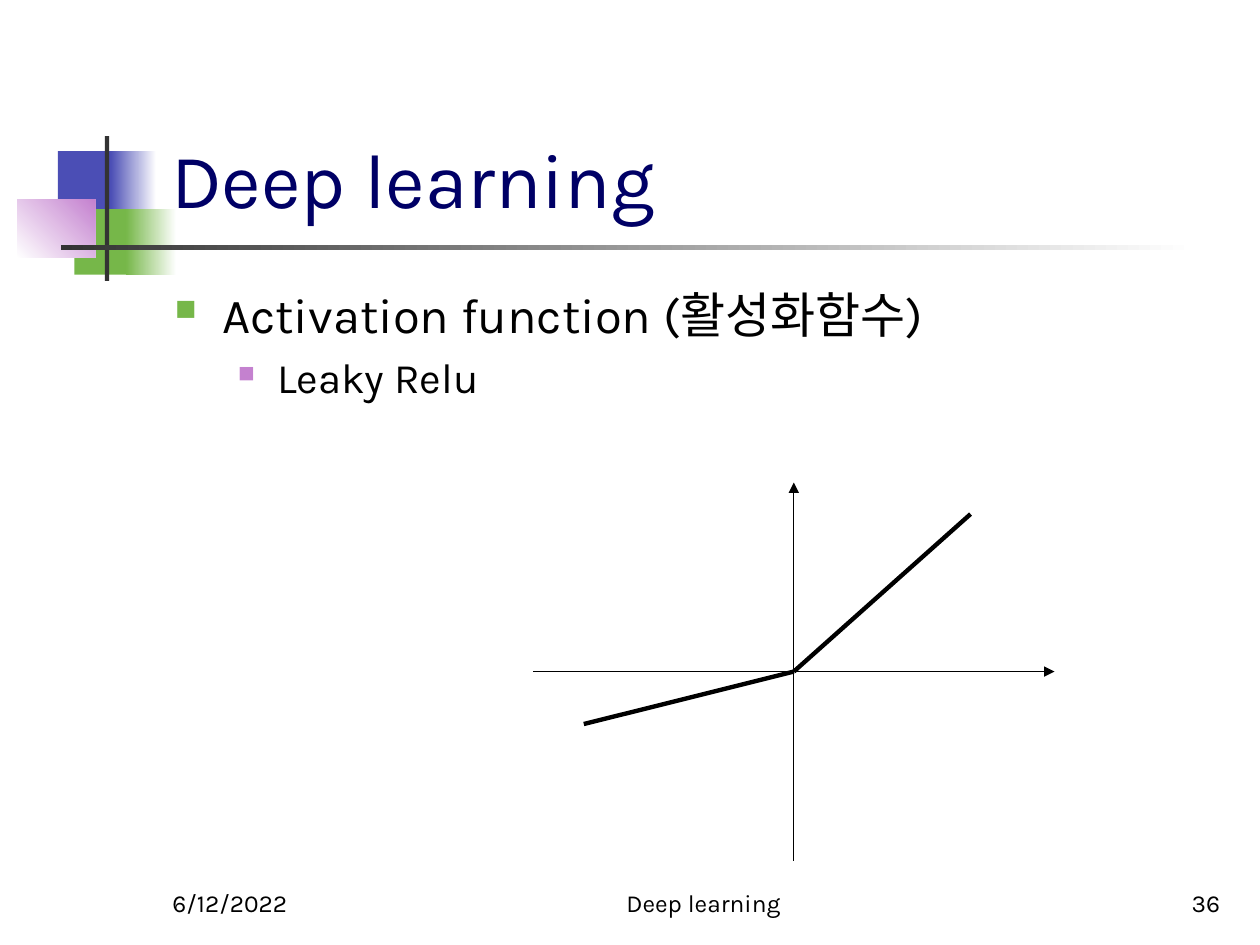
from lxml.etree import SubElement
from pptx import Presentation
from pptx.dml.color import RGBColor
from pptx.enum.shapes import MSO_CONNECTOR as Connector, MSO_SHAPE as Shape
from pptx.enum.text import MSO_ANCHOR as Anchor, PP_ALIGN as Align
from pptx.oxml.ns import qn
from pptx.util import Pt

FONT = "Karla"
BLACK = RGBColor(0x00, 0x00, 0x00)
WHITE = RGBColor(0xFF, 0xFF, 0xFF)
NAVY = RGBColor(0x00, 0x00, 0x66)
BLUE = RGBColor(0x4B, 0x4E, 0xB5)
GREEN = RGBColor(0x76, 0xB7, 0x49)
PINK = RGBColor(0xC4, 0x81, 0xCF)
CHARCOAL = RGBColor(0x33, 0x33, 0x33)

ORIGIN = (453.6, 383.76)
AXIS_REACH = (149, 108)
FOOTER_TOP, FOOTER_HEIGHT = 491.76, 36


def add_block(slide, box, start, end=None, angle=0):
    block = slide.shapes.add_shape(Shape.RECTANGLE, *map(Pt, box))
    block.shadow.inherit = False
    block.line.fill.background()
    if end is None:
        block.fill.solid()
        block.fill.fore_color.rgb = start
        return
    block.fill.gradient()
    block.fill.gradient_angle = angle
    for stop, color, position in zip(block.fill.gradient_stops, (start, end), (0, 1)):
        stop.color.rgb = color
        stop.position = position


def add_frame(slide, box, anchor=Anchor.BOTTOM):
    frame = slide.shapes.add_textbox(*map(Pt, box)).text_frame
    frame.word_wrap = True
    frame.vertical_anchor = anchor
    return frame


def style_text(paragraph, text, size, color=BLACK, align=Align.LEFT):
    paragraph.text = text
    paragraph.alignment = align
    font = paragraph.font
    font.name, font.size = FONT, Pt(size)
    font.color.rgb = color


def add_bullet(paragraph, color, percent, margin, hanging):
    properties = paragraph._p.get_or_add_pPr()
    properties.set("marL", str(Pt(margin)))
    properties.set("indent", str(-Pt(hanging)))
    bullet_color = SubElement(properties, qn("a:buClr"))
    SubElement(bullet_color, qn("a:srgbClr"), val=str(color))
    SubElement(properties, qn("a:buSzPct"), val=str(percent * 1000))
    SubElement(properties, qn("a:buChar"), char="■")


def add_line(slide, start, end, width, arrow=False):
    line = slide.shapes.add_connector(Connector.STRAIGHT, *map(Pt, (*start, *end)))
    line.line.color.rgb = BLACK
    line.line.width = Pt(width)
    if arrow:
        SubElement(line.line._get_or_add_ln(), qn("a:tailEnd"), type="triangle")
    SubElement(line._element.spPr, qn("a:effectLst"))


def add_decoration(slide):
    add_block(slide, (33.12, 86.4, 34.56, 37.44), BLUE)
    add_block(slide, (63.36, 86.4, 25.92, 37.44), BLUE, WHITE)
    add_block(slide, (42.48, 119.52, 33.12, 37.44), GREEN)
    add_block(slide, (72, 119.52, 28.8, 37.44), GREEN, WHITE)
    add_block(slide, (9.72, 113.76, 44.64, 33.5), WHITE, PINK, angle=45)
    add_block(slide, (59.9, 77.76, 2.5, 82.8), CHARCOAL)
    add_block(slide, (34.8, 140.2, 648, 2.5), CHARCOAL, WHITE)


def add_outline(slide):
    frame = add_frame(slide, (92.88, 159.12, 612, 324), Anchor.TOP)
    topic = frame.paragraphs[0]
    add_bullet(topic, GREEN, 60, 27, 27)
    style_text(topic, "Activation function (활성화함수)", 28)
    detail = frame.add_paragraph()
    detail.level = 1
    add_bullet(detail, PINK, 55, 58.5, 22.5)
    style_text(detail, "Leaky Relu", 24)
    detail.space_before = Pt(4.8)


def add_footer(slide):
    for left, width, text, align in (
        (91.44, 150, "6/12/2022", Align.LEFT),
        (288, 228, "Deep learning", Align.CENTER),
        (554.4, 150, "36", Align.RIGHT),
    ):
        frame = add_frame(slide, (left, FOOTER_TOP, width, FOOTER_HEIGHT))
        style_text(frame.paragraphs[0], text, 14, align=align)


def add_leaky_relu_plot(slide):
    x, y = ORIGIN
    reach_x, reach_y = AXIS_REACH
    add_line(slide, (x - reach_x, y), (x + reach_x, y), 0.75, arrow=True)
    add_line(slide, (x, y + reach_y), (x, y - reach_y), 0.75, arrow=True)
    add_line(slide, ORIGIN, (x + 101, y - 90), 2.5)
    add_line(slide, ORIGIN, (x - 120, y + 30), 2.5)


def main():
    presentation = Presentation()
    presentation.slide_width, presentation.slide_height = Pt(720), Pt(540)
    slide = presentation.slides.add_slide(presentation.slide_layouts[6])
    add_decoration(slide)
    title = add_frame(slide, (90.72, 16.56, 613.44, 115.2))
    style_text(title.paragraphs[0], "Deep learning", 44, NAVY)
    add_outline(slide)
    add_footer(slide)
    add_leaky_relu_plot(slide)
    presentation.save("out.pptx")


if __name__ == "__main__":
    main()
